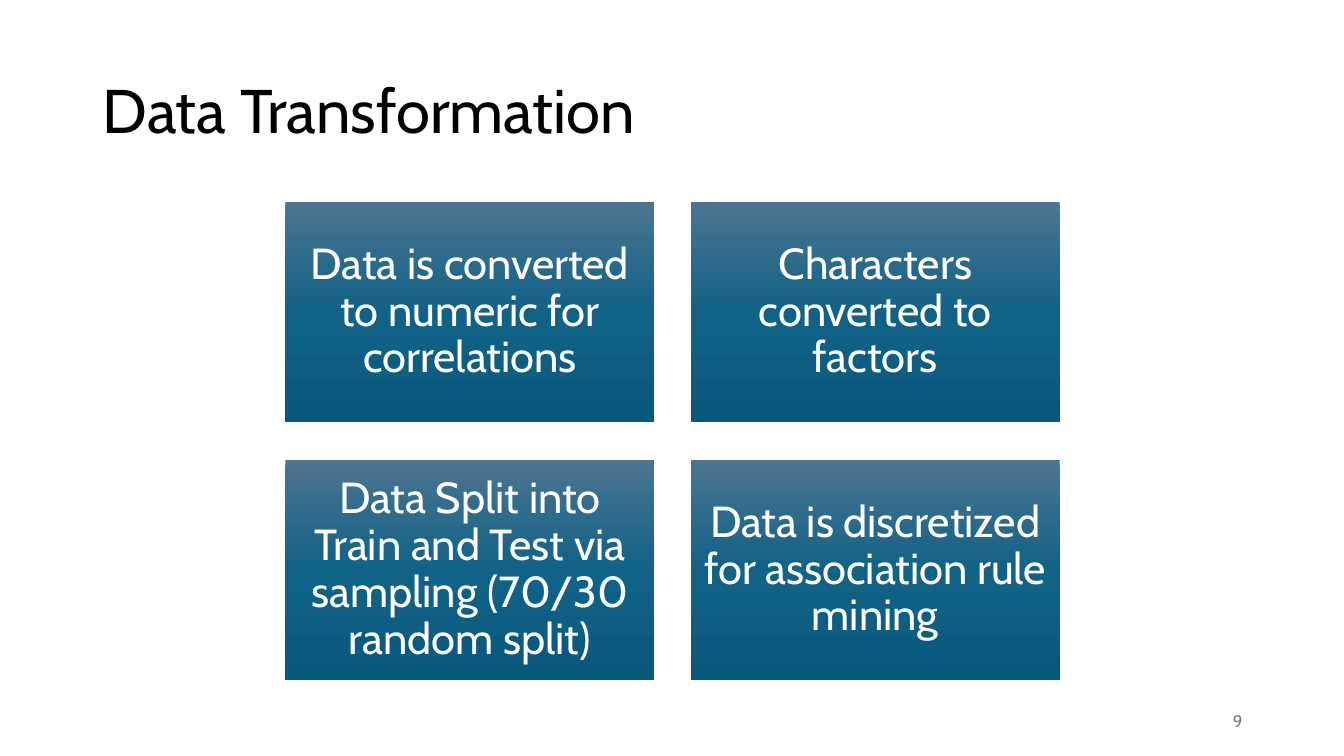
import copy
import pptx
import pptx.dml.color
import pptx.enum.shapes
import pptx.enum.text
import pptx.oxml.ns
import pptx.util

Inches = pptx.util.Inches
Pt = pptx.util.Pt
Align = pptx.enum.text.PP_ALIGN

hues = {"ink": "000000", "gray": "797979", "white": "FFFFFF",
        "top": "4C7591", "mid": "106287", "low": "09597D"}


def color(name):
    return pptx.dml.color.RGBColor.from_string(hues[name])


def write(shape, text, size, hue, inset, form):
    frame = shape.text_frame
    frame.word_wrap = True
    frame.vertical_anchor = pptx.enum.text.MSO_ANCHOR.MIDDLE
    for side, gap in zip(("left", "right", "top", "bottom"), inset):
        setattr(frame, "margin_" + side, Inches(gap))
    para = frame.paragraphs[0]
    for key, value in form.items():
        setattr(para, key, value)
    run = para.add_run()
    run.text = text
    for key, value in {"name": "Cabin", "size": Pt(size)}.items():
        setattr(run.font, key, value)
    run.font.color.rgb = color(hue)


deck = pptx.Presentation()
deck.slide_width = Inches(13.33)
deck.slide_height = Inches(7.5)
slide = deck.slides.add_slide(deck.slide_layouts[6])

plain = (0.1, 0.1, 0.05, 0.05)
title = slide.shapes.add_textbox(Inches(0.92), Inches(0.4), Inches(11.5), Inches(1.45))
write(title, "Data Transformation", 44, "ink", plain, {"line_spacing": 0.9})

number = slide.shapes.add_textbox(Inches(9.42), Inches(6.95), Inches(3), Inches(0.4))
write(number, "9", 12, "gray", plain, {"alignment": Align.RIGHT})

steps = ["Data is converted to numeric for correlations",
         "Characters converted to factors",
         "Data Split into Train and Test via sampling (70/30 random split)",
         "Data is discretized for association rule mining"]
shades = [(0, "top"), (0.5, "mid"), (1, "low")]

for index, step in enumerate(steps):
    row, col = divmod(index, 2)
    card = slide.shapes.add_shape(
        pptx.enum.shapes.MSO_SHAPE.RECTANGLE,
        Inches(2.83 + 4.02 * col), Inches(2 + 2.56 * row), Inches(3.66), Inches(2.19))
    card.shadow.inherit = False
    card.line.fill.background()
    card.fill.gradient()
    card.fill.gradient_angle = 270
    stops = card._element.spPr.find(".//" + pptx.oxml.ns.qn("a:gsLst"))
    stops.insert(1, copy.deepcopy(stops[0]))
    for stop, (place, shade) in zip(card.fill.gradient_stops, shades):
        stop.position = place
        stop.color.rgb = color(shade)
    write(card, step, 31, "white", (0.13,) * 4,
          {"alignment": Align.CENTER, "line_spacing": 0.9})

deck.save("out.pptx")
